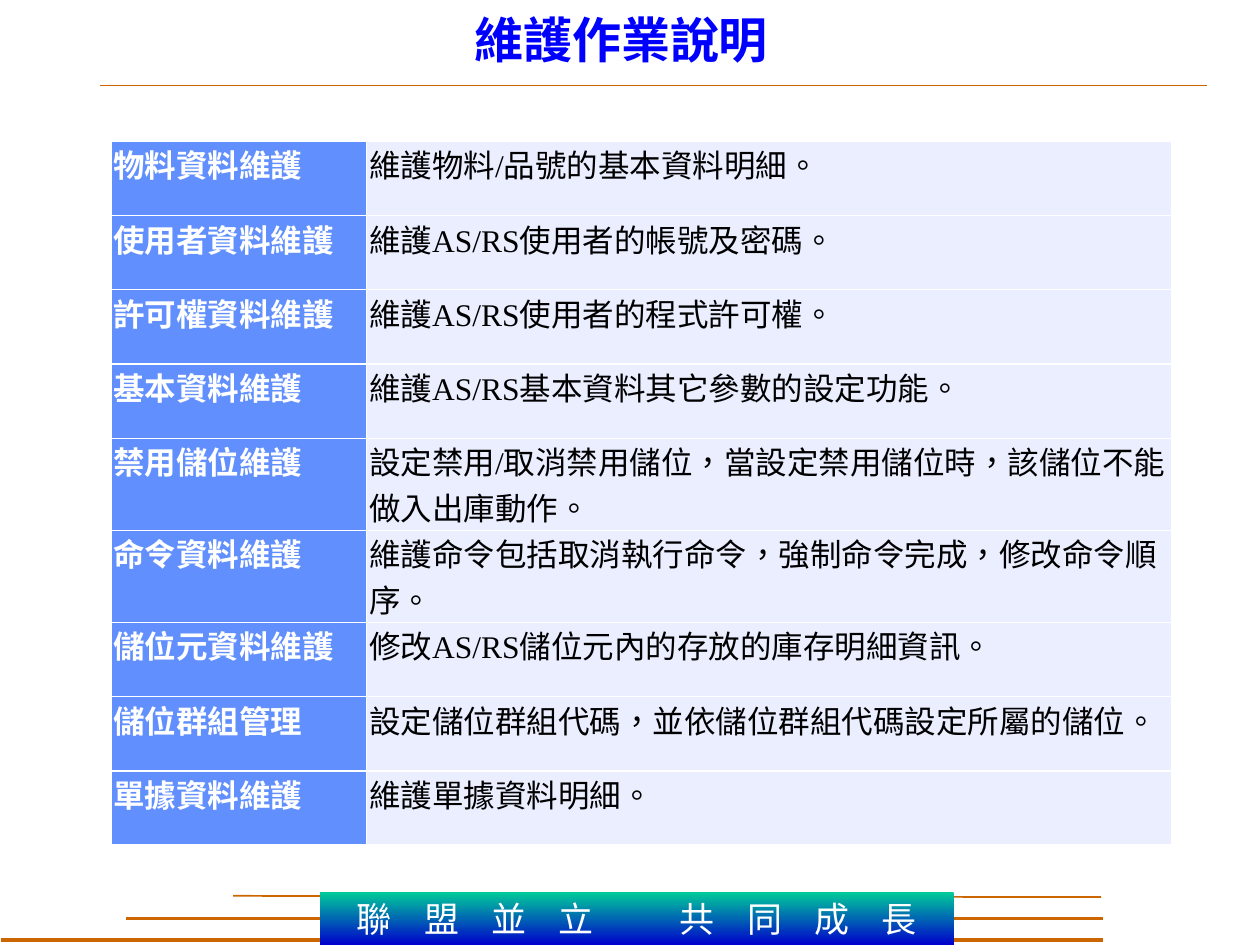
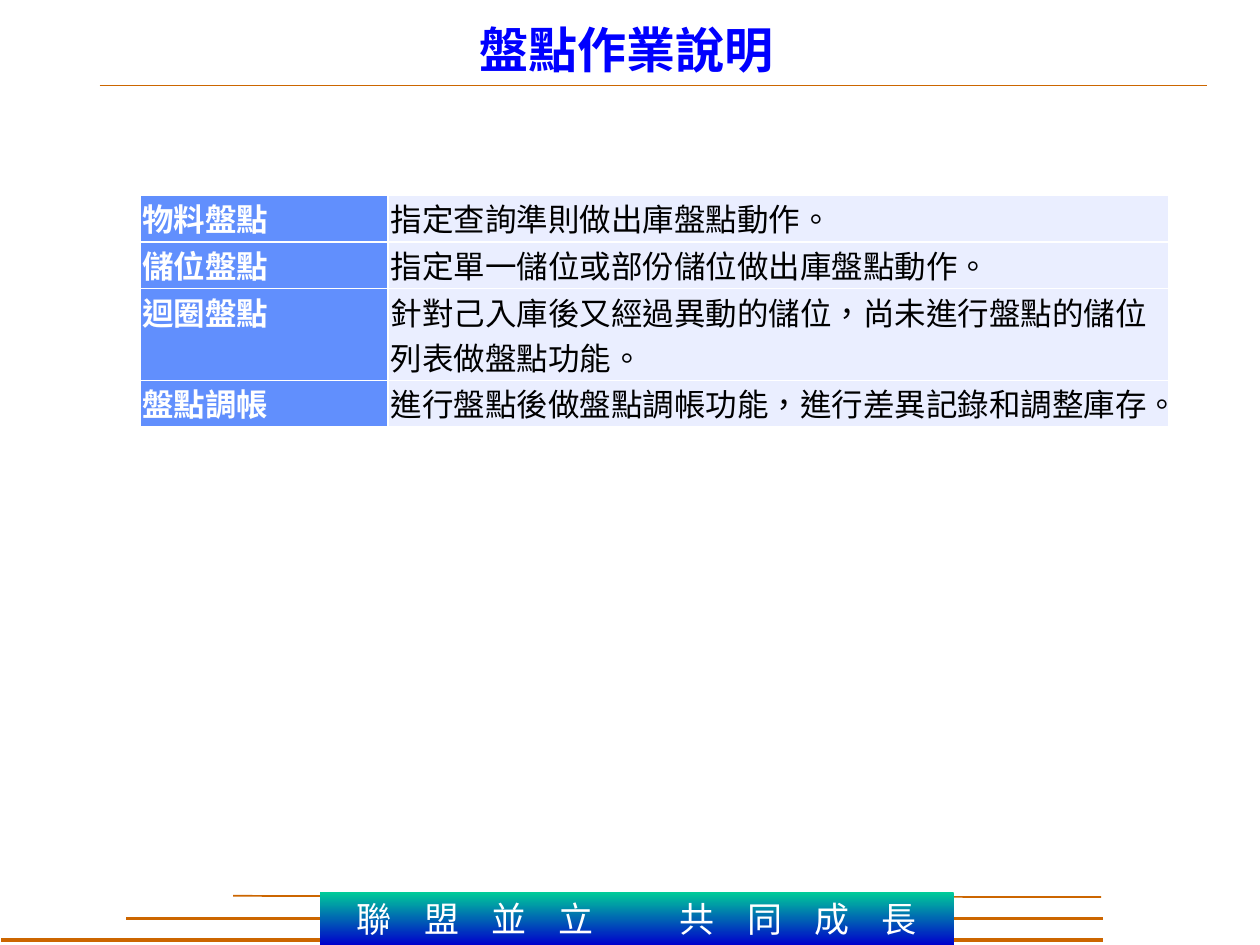
"""Build two slides that explain upkeep and stock count tasks."""
from lxml import etree
from pptx import Presentation
from pptx import util as u
from pptx.dml import color
from pptx.enum import shapes, text
from pptx.oxml import ns

HUES = {"title": "0000FF", "rule": "CC6600", "top": "00CC99", "base": "0000CC",
        "head": "618FFD", "body": "EAEEFF", "white": "FFFFFF", "black": "000000"}
LATIN, ASIAN = "Times New Roman", "Noto Sans CJK SC"
WIDE, HIGH = u.Inches(10), u.Inches(7.5)
COLS, ROWS = 100, 75
LIMIT, DOUBLE = 25, 7.3

RULES = [((7.9, 6.8), (95.8, 6.8), 0.75), ((10, 72.9), (87.5, 72.9), 1.75),
         ((18.5, 71.1), (87.4, 71.2), 1), ((0.1, 74.6), (87.5, 74.6), 2.5)]

UPKEEP = [
    ("物料資料維護", "維護物料/品號的基本資料明細。"),
    ("使用者資料維護", "維護AS/RS使用者的帳號及密碼。"),
    ("許可權資料維護", "維護AS/RS使用者的程式許可權。"),
    ("基本資料維護", "維護AS/RS基本資料其它參數的設定功能。"),
    ("禁用儲位維護", "設定禁用/取消禁用儲位，當設定禁用儲位時，該儲位不能做入出庫動作。"),
    ("命令資料維護", "維護命令包括取消執行命令，強制命令完成，修改命令順序。"),
    ("儲位元資料維護", "修改AS/RS儲位元內的存放的庫存明細資訊。"),
    ("儲位群組管理", "設定儲位群組代碼，並依儲位群組代碼設定所屬的儲位。"),
    ("單據資料維護", "維護單據資料明細。"),
]
COUNT = [
    ("物料盤點", "指定查詢準則做出庫盤點動作。"),
    ("儲位盤點", "指定單一儲位或部份儲位做出庫盤點動作。"),
    ("迴圈盤點", "針對己入庫後又經過異動的儲位，尚未進行盤點的儲位列表做盤點功能。"),
    ("盤點調帳", "進行盤點後做盤點調帳功能，進行差異記錄和調整庫存。"),
]


def hue(name):
    """Return the named colour."""
    return color.RGBColor.from_string(HUES[name])


def across(cols):
    """Turn grid columns into a length."""
    return round(WIDE * cols / COLS)


def down(rows):
    """Turn grid rows into a length."""
    return round(HIGH * rows / ROWS)


def place(left, top, width, height):
    """Turn a grid box into slide lengths."""
    return across(left), down(top), across(width), down(height)


def write(par, words, size=18, tint="black", bold=False, face=LATIN,
          align=text.PP_ALIGN.LEFT, track=0):
    """Add one run of text to a paragraph."""
    par.alignment = align
    run = par.add_run()
    run.text = words
    font = run.font
    font.size, font.bold, font.name = u.Pt(size), bold, face
    font.color.rgb = hue(tint)
    props = run._r.get_or_add_rPr()
    props.set("lang", "zh-TW")
    if track:
        props.set("spc", str(round(track * 100)))
    etree.SubElement(props, ns.qn("a:ea"), typeface=ASIAN)


def rule(slide, start, end, weight):
    """Draw a plain line between two grid points."""
    line = slide.shapes.add_connector(
        shapes.MSO_CONNECTOR.STRAIGHT, across(start[0]), down(start[1]),
        across(end[0]), down(end[1]))
    line.line.color.rgb = hue("rule")
    line.line.width = u.Pt(weight)
    node = line._element
    etree.SubElement(node.spPr, ns.qn("a:effectLst"))
    node.remove(node.find(ns.qn("p:style")))


def banner(slide):
    """Draw the footer band with its spaced motto."""
    band = slide.shapes.add_shape(shapes.MSO_SHAPE.RECTANGLE,
                                  *place(25.4, 70.8, 50.3, 4.2))
    band.shadow.inherit = False
    band.line.fill.background()
    band.fill.gradient()
    band.fill.gradient_angle = 270
    for stop, name in zip(band.fill.gradient_stops, ("top", "base")):
        stop.color.rgb = hue(name)
    frame = band.text_frame
    frame.word_wrap = False
    frame.vertical_anchor = text.MSO_ANCHOR.MIDDLE
    for words, track in (("聯 盟 並 立", 7), (" ", 37.5), ("共 同 成 長", 7)):
        write(frame.paragraphs[0], words, size=20, tint="white",
              align=text.PP_ALIGN.CENTER, track=track)


def title(slide, words, box):
    """Write the slide title in a grid box."""
    frame = slide.shapes.add_textbox(*place(*box)).text_frame
    frame.word_wrap = True
    frame.vertical_anchor = text.MSO_ANCHOR.MIDDLE
    write(frame.paragraphs[0], words, size=28, tint="title", bold=True,
          face=ASIAN, align=text.PP_ALIGN.CENTER)


def edge(cell):
    """Give a cell thin white borders."""
    props = cell._tc.get_or_add_tcPr()
    for spot, side in enumerate("LRTB"):
        line = etree.Element(ns.qn(f"a:ln{side}"), w=str(u.Pt(1)))
        fill = etree.SubElement(line, ns.qn("a:solidFill"))
        etree.SubElement(fill, ns.qn("a:srgbClr"), val=HUES["white"])
        props.insert(spot, line)


def grid(slide, data, left, top, widths, step):
    """Draw a table of task names, with taller rows for long text."""
    steps = [DOUBLE if len(note) > LIMIT else step for _, note in data]
    box = place(left, top, sum(widths), sum(steps))
    table = slide.shapes.add_table(len(data), len(widths), *box).table
    table.first_row = table.horz_banding = False
    for col, width in zip(table.columns, widths):
        col.width = across(width)
    for row, pair, tall in zip(table.rows, data, steps):
        row.height = down(tall)
        for cell, words, back, tint in zip(
                row.cells, pair, ("head", "body"), ("white", "black")):
            cell.margin_left = cell.margin_right = u.Inches(0.02)
            cell.margin_top = cell.margin_bottom = 0
            cell.fill.solid()
            cell.fill.fore_color.rgb = hue(back)
            edge(cell)
            write(cell.text_frame.paragraphs[0], words, tint=tint,
                  bold=back == "head")


def page(deck, words, box):
    """Add a slide with the shared rules, band and title."""
    slide = deck.slides.add_slide(deck.slide_layouts[6])
    for item in RULES:
        rule(slide, *item)
    banner(slide)
    title(slide, words, box)
    return slide


def main():
    """Build and save the deck."""
    deck = Presentation()
    deck.slide_width, deck.slide_height = WIDE, HIGH
    slide = page(deck, "維護作業說明", (26.8, 0.2, 45, 5.8))
    grid(slide, UPKEEP, 8.8, 11.2, (20.3, 63.9), 5.9)
    slide = page(deck, "盤點作業說明", (28.8, 1.1, 41.8, 5.6))
    grid(slide, COUNT, 11.1, 15.5, (19.7, 62), 3.7)
    deck.save("out.pptx")


if __name__ == "__main__":
    main()
